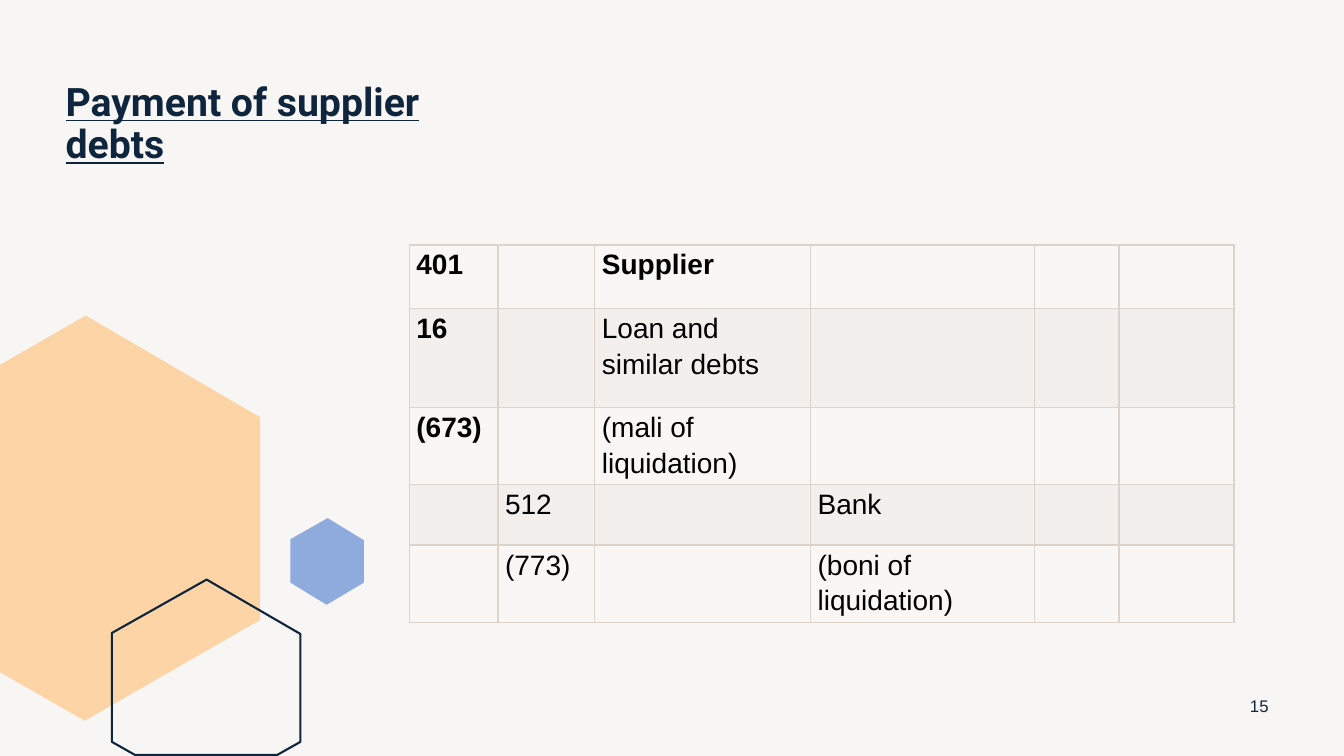
"""Build the slide on the journal entry for paying supplier debts."""
from dataclasses import dataclass

from lxml.etree import SubElement
from pptx import Presentation
from pptx.dml.color import RGBColor
from pptx.enum.text import MSO_ANCHOR as Anchor, MSO_AUTO_SIZE as AutoSize, PP_ALIGN as Align
from pptx.oxml.ns import qn
from pptx.util import Emu, Pt

EMU_PER_PX = 9144
NAVY, SAND, BLACK = "0F253E", "DCD3CC", "000000"
BAND_FILLS = ("F9F7F6", "F2EFEC")
COLUMN_WIDTHS = (88, 96, 214, 222, 84, 114)
ROW_HEIGHTS = (63, 98, 63, 60, 63)


@dataclass(frozen=True)
class Hexagon:
    points: tuple[tuple[int, int], ...]
    fill: str | None = None
    outline: str | None = None


@dataclass(frozen=True)
class Entry:
    row: int
    column: int
    text: str
    bold: bool = False


HEXAGONS = (
    Hexagon(((85, 313), (258, 414), (258, 615), (84, 715), (0, 667), (0, 362)), fill="FCD4A6"),
    Hexagon(((205, 575), (298, 629), (298, 736), (275, 749), (134, 749), (111, 736), (111, 628)),
            outline=NAVY),
    Hexagon(((325, 514), (288, 535), (288, 578), (324, 600), (361, 578), (361, 536)),
            fill="8FAADC"),
)

ENTRIES = (
    Entry(0, 0, "401", bold=True),
    Entry(0, 2, "Supplier", bold=True),
    Entry(1, 0, "16", bold=True),
    Entry(1, 2, "Loan and similar debts"),
    Entry(2, 0, "(673)", bold=True),
    Entry(2, 2, "(mali of liquidation)"),
    Entry(3, 1, "512"),
    Entry(3, 3, "Bank"),
    Entry(4, 1, "(773)"),
    Entry(4, 3, "(boni of liquidation)"),
)


def px(length: int) -> Emu:
    """Turn whole px into EMU."""
    return Emu(length * EMU_PER_PX)


def paint(color_format, color: str) -> None:
    """Give a fill or line format a solid colour."""
    color_format.solid()
    color_format.fore_color.rgb = RGBColor.from_string(color)


def write(frame, text: str, *, size: int, color: str, font: str = "Arial", bold: bool = False,
          underline: bool = False, align: Align = Align.LEFT, spacing: float = 1.0,
          after: int = 0) -> None:
    """Put one formatted paragraph into a text frame."""
    frame.word_wrap = True
    paragraph = frame.paragraphs[0]
    paragraph.alignment = align
    paragraph.line_spacing = spacing
    paragraph.space_after = Pt(after)
    run = paragraph.add_run()
    run.text = text
    run.font.name = font
    run.font.size = Pt(size)
    run.font.bold = bold
    run.font.underline = underline
    run.font.color.rgb = RGBColor.from_string(color)


def draw_hexagon(slide, hexagon: Hexagon) -> None:
    """Draw one closed decorative hexagon."""
    start, *corners = hexagon.points
    builder = slide.shapes.build_freeform(*start, scale=EMU_PER_PX)
    builder.add_line_segments(corners, close=True)
    shape = builder.convert_to_shape()
    shape.shadow.inherit = False
    if hexagon.fill:
        paint(shape.fill, hexagon.fill)
    else:
        shape.fill.background()
    if hexagon.outline:
        paint(shape.line.fill, hexagon.outline)
        shape.line.width = Pt(1.5)
    else:
        shape.line.fill.background()


def style_cell(cell, fill: str) -> None:
    """Set the margins, thin borders and fill of a cell."""
    cell.margin_left = cell.margin_right = px(7)
    cell.margin_top = cell.margin_bottom = 0
    properties = cell._tc.get_or_add_tcPr()
    for side in ("a:lnL", "a:lnR", "a:lnT", "a:lnB"):
        border = SubElement(properties, qn(side), w=str(Pt(1)))
        solid = SubElement(border, qn("a:solidFill"))
        SubElement(solid, qn("a:srgbClr"), val=SAND)
    paint(cell.fill, fill)


def draw_journal(slide) -> None:
    """Draw the table of debited and credited accounts."""
    journal = slide.shapes.add_table(
        len(ROW_HEIGHTS), len(COLUMN_WIDTHS), px(406), px(243),
        px(sum(COLUMN_WIDTHS)), px(sum(ROW_HEIGHTS))).table
    journal.first_row = journal.horz_banding = False
    for column, width in zip(journal.columns, COLUMN_WIDTHS):
        column.width = px(width)
    for index, (row, height) in enumerate(zip(journal.rows, ROW_HEIGHTS)):
        row.height = px(height)
        for cell in row.cells:
            style_cell(cell, BAND_FILLS[index % 2])
    for entry in ENTRIES:
        write(journal.cell(entry.row, entry.column).text_frame, entry.text, size=20,
              color=BLACK, bold=entry.bold, spacing=1.15, after=10)


def draw_title(slide) -> None:
    """Place and format the title placeholder."""
    title = slide.shapes.title
    title.left, title.top, title.width, title.height = map(px, (55, 77, 437, 249))
    title.text_frame.auto_size = AutoSize.NONE
    title.text_frame.vertical_anchor = Anchor.TOP
    write(title.text_frame, "Payment of supplier debts", size=28, color=NAVY, font="Roboto",
          bold=True, underline=True, spacing=0.9)


def draw_page_number(slide) -> None:
    """Write the page number in the lower right corner."""
    page_number = slide.shapes.add_textbox(*map(px, (1224, 680, 50, 40)))
    page_number.text_frame.vertical_anchor = Anchor.MIDDLE
    write(page_number.text_frame, "15", size=12, color=NAVY, align=Align.CENTER)


def main() -> None:
    """Build and save the presentation."""
    presentation = Presentation()
    presentation.slide_width, presentation.slide_height = px(1333), px(750)
    slide = presentation.slides.add_slide(presentation.slide_layouts.get_by_name("Title Only"))
    paint(slide.background.fill, "F8F6F5")
    for hexagon in HEXAGONS:
        draw_hexagon(slide, hexagon)
    draw_title(slide)
    draw_page_number(slide)
    draw_journal(slide)
    presentation.save("out.pptx")


if __name__ == "__main__":
    main()
